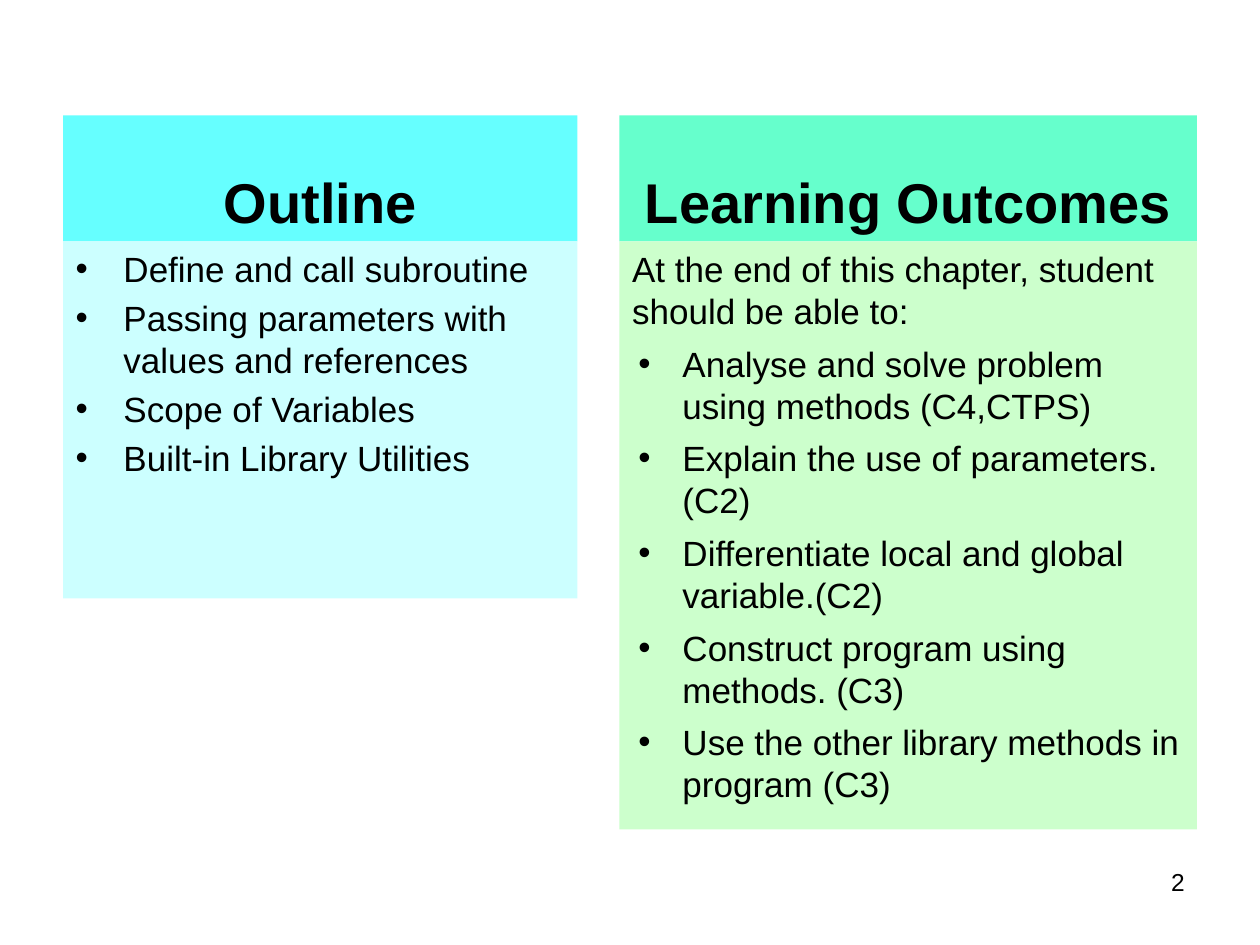
from dataclasses import dataclass

from lxml import etree
from pptx import Presentation
from pptx import util as u
from pptx.dml.color import RGBColor
from pptx.enum import text
from pptx.oxml import ns


@dataclass(frozen=True)
class Theme:
    font: str = "Arial"
    ink: str = "000000"
    cyan: str = "66FFFF"
    pale_cyan: str = "CCFFFF"
    mint: str = "66FFCC"
    pale_green: str = "CCFFCC"
    heading: int = 32
    body: int = 20
    number: int = 14


def write(para, words, *, theme, size, bold=False, align=text.PP_ALIGN.LEFT,
          before=0, margin=0, hanging=0, bullet=None):
    para.alignment = align
    para.space_before = u.Pt(before)
    props = para._p.get_or_add_pPr()
    props.set("marL", str(u.Inches(margin)))
    props.set("indent", str(-u.Inches(hanging)))
    if bullet:
        etree.SubElement(props, ns.qn("a:buFont"), typeface=theme.font)
        etree.SubElement(props, ns.qn("a:buChar"), char=bullet)
    else:
        etree.SubElement(props, ns.qn("a:buNone"))
    span = para.add_run()
    span.text = words
    span.font.name = theme.font
    span.font.size = u.Pt(size)
    span.font.bold = bold
    span.font.color.rgb = RGBColor.from_string(theme.ink)


class Slide:
    columns, rows = 120, 90

    def __init__(self, deck, theme):
        self.deck, self.theme = deck, theme
        self.page = deck.slides.add_slide(deck.slide_layouts.get_by_name("Comparison"))
        title = self.page.shapes.title
        title.element.getparent().remove(title.element)
        self.holders = {box.placeholder_format.idx: box for box in self.page.placeholders}

    def area(self, column, row, wide, high):
        across = self.deck.slide_width / self.columns
        down = self.deck.slide_height / self.rows
        return [round(n) for n in (column * across, row * down, wide * across, high * down)]

    def panel(self, idx, area, fill, anchor):
        box = self.holders[idx]
        box.left, box.top, box.width, box.height = self.area(*area)
        box.fill.solid()
        box.fill.fore_color.rgb = RGBColor.from_string(fill)
        frame = box.text_frame
        frame.word_wrap = True
        frame.auto_size = text.MSO_AUTO_SIZE.NONE
        frame.vertical_anchor = anchor
        return frame

    def heading(self, idx, words, area, fill):
        frame = self.panel(idx, area, fill, text.MSO_ANCHOR.BOTTOM)
        write(frame.paragraphs[0], words, theme=self.theme, size=self.theme.heading,
              bold=True, align=text.PP_ALIGN.CENTER)

    def listing(self, idx, items, area, fill, gap, margin, hanging, intro=None):
        frame = self.panel(idx, area, fill, text.MSO_ANCHOR.TOP)
        lines = [(intro, {})] if intro else []
        style = {"margin": margin, "hanging": hanging, "bullet": "•"}
        lines += [(item, style) for item in items]
        for place, (words, options) in enumerate(lines):
            para = frame.add_paragraph() if place else frame.paragraphs[0]
            write(para, words, theme=self.theme, size=self.theme.body,
                  before=gap if place else 0, **options)

    def number(self, words, area):
        box = self.page.shapes.add_textbox(*self.area(*area))
        box.text_frame.word_wrap = True
        write(box.text_frame.paragraphs[0], words, theme=self.theme,
              size=self.theme.number, align=text.PP_ALIGN.RIGHT)


def main():
    deck = Presentation()
    deck.slide_width, deck.slide_height = u.Inches(10), u.Inches(7.5)
    theme = Theme()
    slide = Slide(deck, theme)
    top, head = 11, 12
    left, left_wide = 6, 49
    right, right_wide = 59, 55

    slide.heading(1, "Outline", (left, top, left_wide, head), theme.cyan)
    slide.listing(2, [
        "Define and call subroutine",
        "Passing parameters with values and references",
        "Scope of Variables",
        "Built-in Library Utilities",
    ], (left, top + head, left_wide, 34), theme.pale_cyan,
        gap=4, margin=0.38, hanging=0.38)

    slide.heading(3, "Learning Outcomes", (right, top, right_wide, head), theme.mint)
    slide.listing(4, [
        "Analyse and solve problem using methods (C4,CTPS)",
        "Explain the use of parameters.(C2)",
        "Differentiate local and global variable.(C2)",
        "Construct program using methods. (C3)",
        "Use the other library methods in program (C3)",
    ], (right, top + head, right_wide, 56), theme.pale_green,
        gap=6, margin=0.4, hanging=0.35,
        intro="At the end of this chapter, student should be able to:")

    slide.number("2", (86, 82, 28, 6.25))
    deck.save("out.pptx")


if __name__ == "__main__":
    main()
